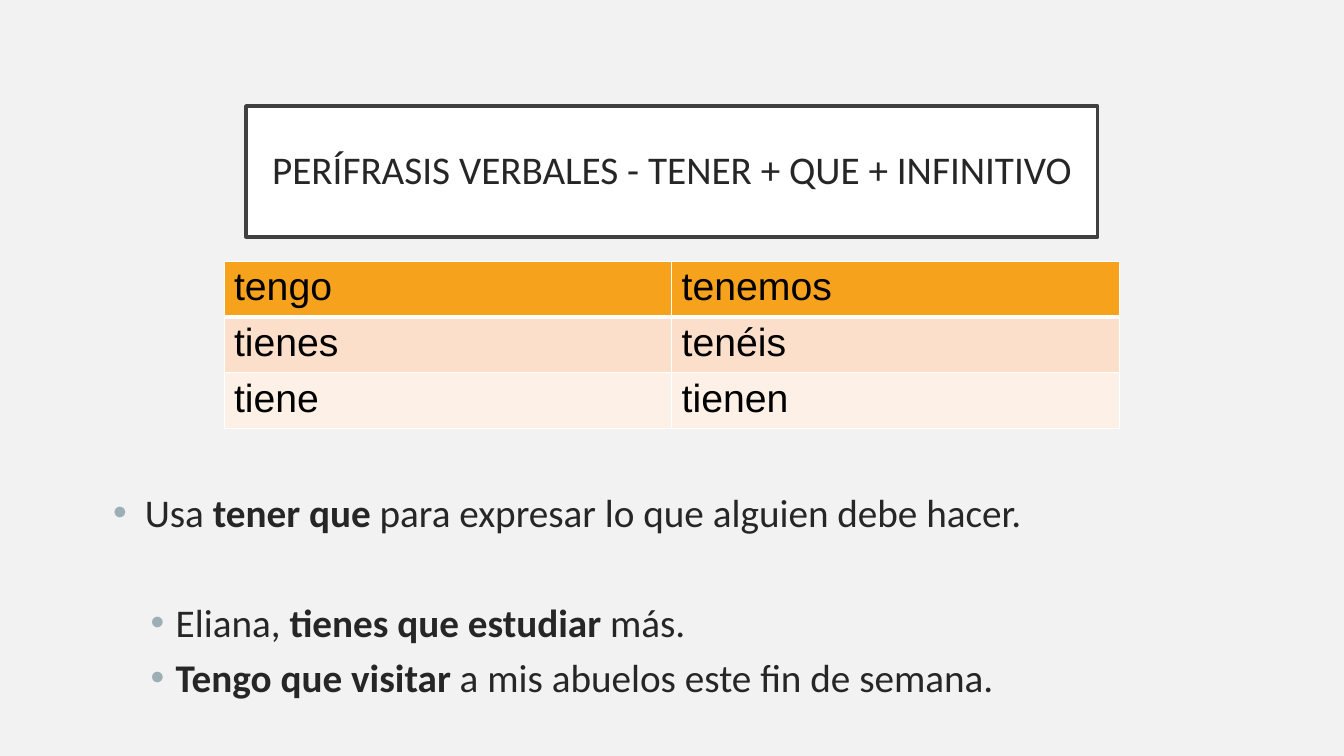
from lxml.etree import SubElement
from pptx import Presentation
from pptx.dml.color import RGBColor
from pptx.enum.shapes import MSO_SHAPE
from pptx.enum.text import MSO_ANCHOR, PP_ALIGN
from pptx.oxml.ns import qn
from pptx.util import Cm, Pt

COLORS = {
    "background": "F2F2F2", "white": "FFFFFF", "frame": "404040",
    "text": "262626", "bullet": "9BAFB5", "black": "000000",
    "header": "F6A21D", "band_dark": "FBDFCB", "band_light": "FDF0E7",
}
TEXT_SIZE = Pt(28)


def color(name):
    return RGBColor.from_string(COLORS[name])


def add_span(para, text, font="Calibri", ink="text", bold=False):
    span = para.add_run()
    span.text = text
    span.font.name = font
    span.font.size = TEXT_SIZE
    span.font.bold = bold
    span.font.color.rgb = color(ink)


def set_margins(target, horizontal, vertical):
    target.margin_left = target.margin_right = Cm(horizontal)
    target.margin_top = target.margin_bottom = Cm(vertical)


def add_bullet(para, left, hanging):
    properties = para._p.get_or_add_pPr()
    properties.set("marL", str(Cm(left)))
    properties.set("indent", str(-Cm(hanging)))
    ink = SubElement(properties, qn("a:buClr"))
    SubElement(ink, qn("a:srgbClr"), val=COLORS["bullet"])
    SubElement(properties, qn("a:buFont"), typeface="Arial")
    SubElement(properties, qn("a:buChar"), char="•")


def add_border(cell, side, points):
    properties = cell._tc.get_or_add_tcPr()
    line = SubElement(properties, qn(f"a:{side}"), w=str(Pt(points)))
    fill = SubElement(line, qn("a:solidFill"))
    SubElement(fill, qn("a:srgbClr"), val=COLORS["white"])


def add_title(page, box, text):
    frame = page.shapes.add_shape(MSO_SHAPE.RECTANGLE, *map(Cm, box))
    frame.shadow.inherit = False
    frame.fill.solid()
    frame.fill.fore_color.rgb = color("white")
    frame.line.color.rgb = color("frame")
    frame.line.width = Pt(2.5)
    body = frame.text_frame
    body.word_wrap = True
    body.vertical_anchor = MSO_ANCHOR.MIDDLE
    set_margins(body, 0.5, 0.5)
    para = body.paragraphs[0]
    para.alignment = PP_ALIGN.CENTER
    para.line_spacing = 0.9
    add_span(para, text)


def add_verb_table(page, box, verbs):
    table = page.shapes.add_table(len(verbs), len(verbs[0]), *map(Cm, box)).table
    fills = ["header", "band_dark", "band_light"]
    for row, (forms, fill) in enumerate(zip(verbs, fills)):
        for column, form in enumerate(forms):
            cell = table.cell(row, column)
            set_margins(cell, 0.25, 0.11)
            add_span(cell.text_frame.paragraphs[0], form, "Arial", "black")
            for side in ("lnL", "lnR", "lnT", "lnB"):
                thick = (row, side) in ((0, "lnB"), (1, "lnT"))
                add_border(cell, side, 3 if thick else 1)
            cell.fill.solid()
            cell.fill.fore_color.rgb = color(fill)


def add_explanation(page, box, items):
    body = page.shapes.add_textbox(*map(Cm, box)).text_frame
    body.word_wrap = True
    set_margins(body, 0.25, 0.13)
    for index, (left, hanging, gap, spans) in enumerate(items):
        para = body.add_paragraph() if index else body.paragraphs[0]
        para.space_before = Pt(gap)
        add_bullet(para, left, hanging)
        for text, bold in spans:
            add_span(para, text, bold=bold)


def main():
    deck = Presentation()
    deck.slide_width, deck.slide_height = Cm(33.87), Cm(19.05)
    page = deck.slides.add_slide(deck.slide_layouts[6])
    page.background.fill.solid()
    page.background.fill.fore_color.rgb = color("background")

    add_title(page, (6.2, 2.67, 21.46, 3.3),
              "PERÍFRASIS VERBALES - TENER + QUE + INFINITIVO")
    add_explanation(page, (2.6, 12.17, 28.55, 7.34), [
        (0.8, 0.8, 0, [("Usa ", False), ("tener que ", True),
                       ("para expresar lo que alguien debe hacer.", False)]),
        (1.58, 0.63, 45, [("Eliana, ", False), ("tienes que estudiar ", True),
                          ("más.", False)]),
        (1.58, 0.63, 6, [("Tengo que visitar ", True),
                         ("a mis abuelos este fin de semana.", False)]),
    ])
    add_verb_table(page, (5.65, 6.58, 22.56, 4.05), [
        ("tengo", "tenemos"),
        ("tienes", "tenéis"),
        ("tiene", "tienen"),
    ])
    deck.save("out.pptx")


if __name__ == "__main__":
    main()
